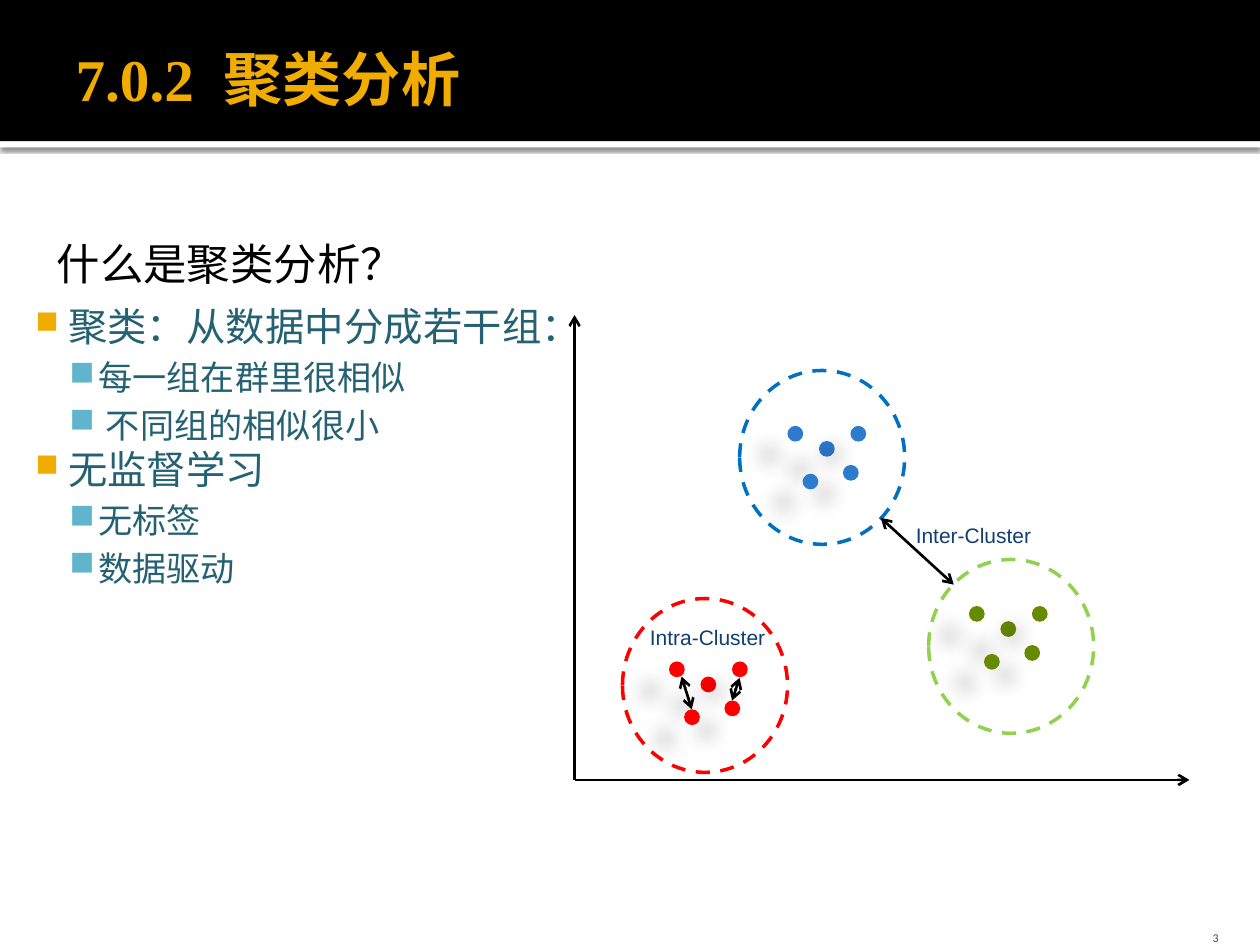
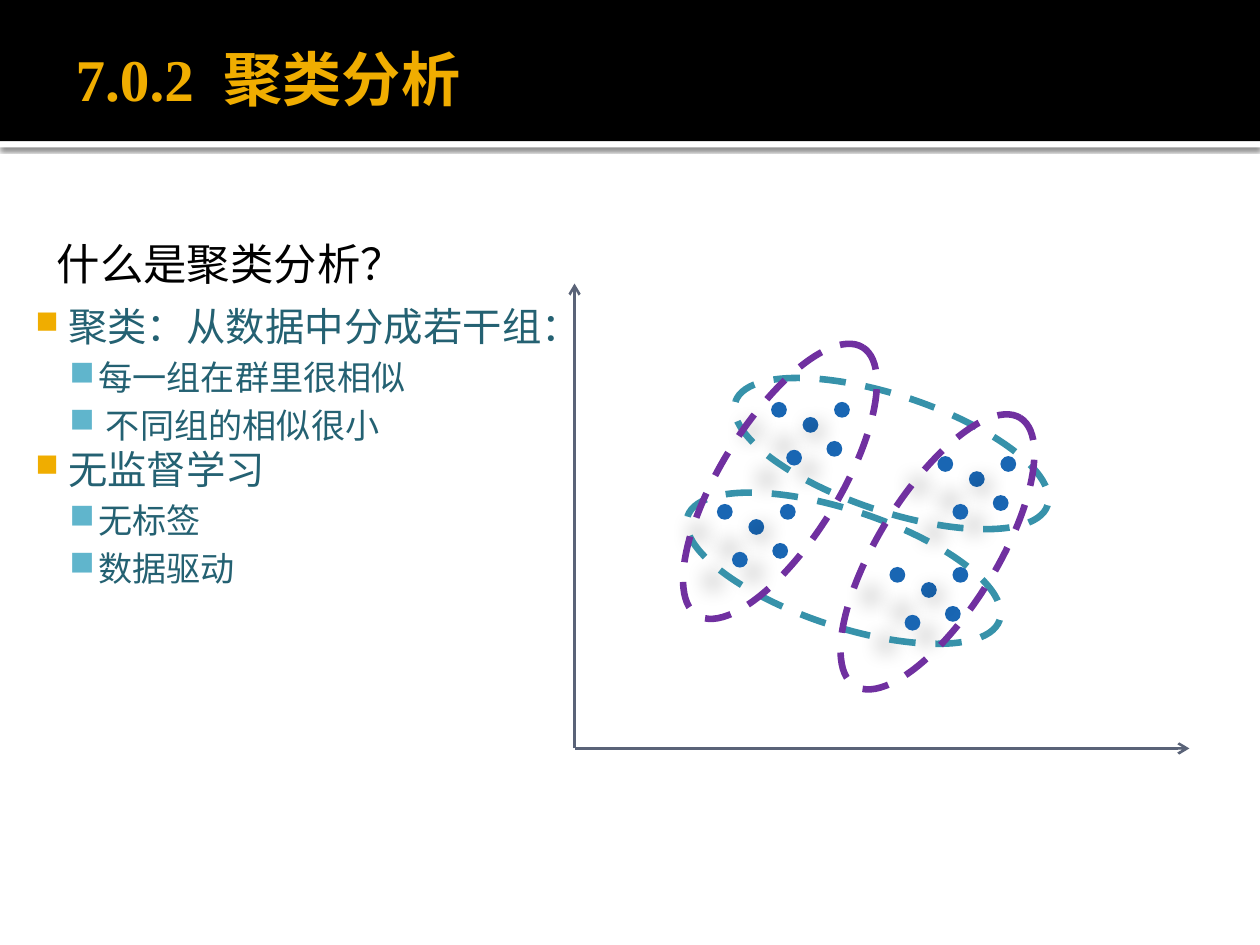
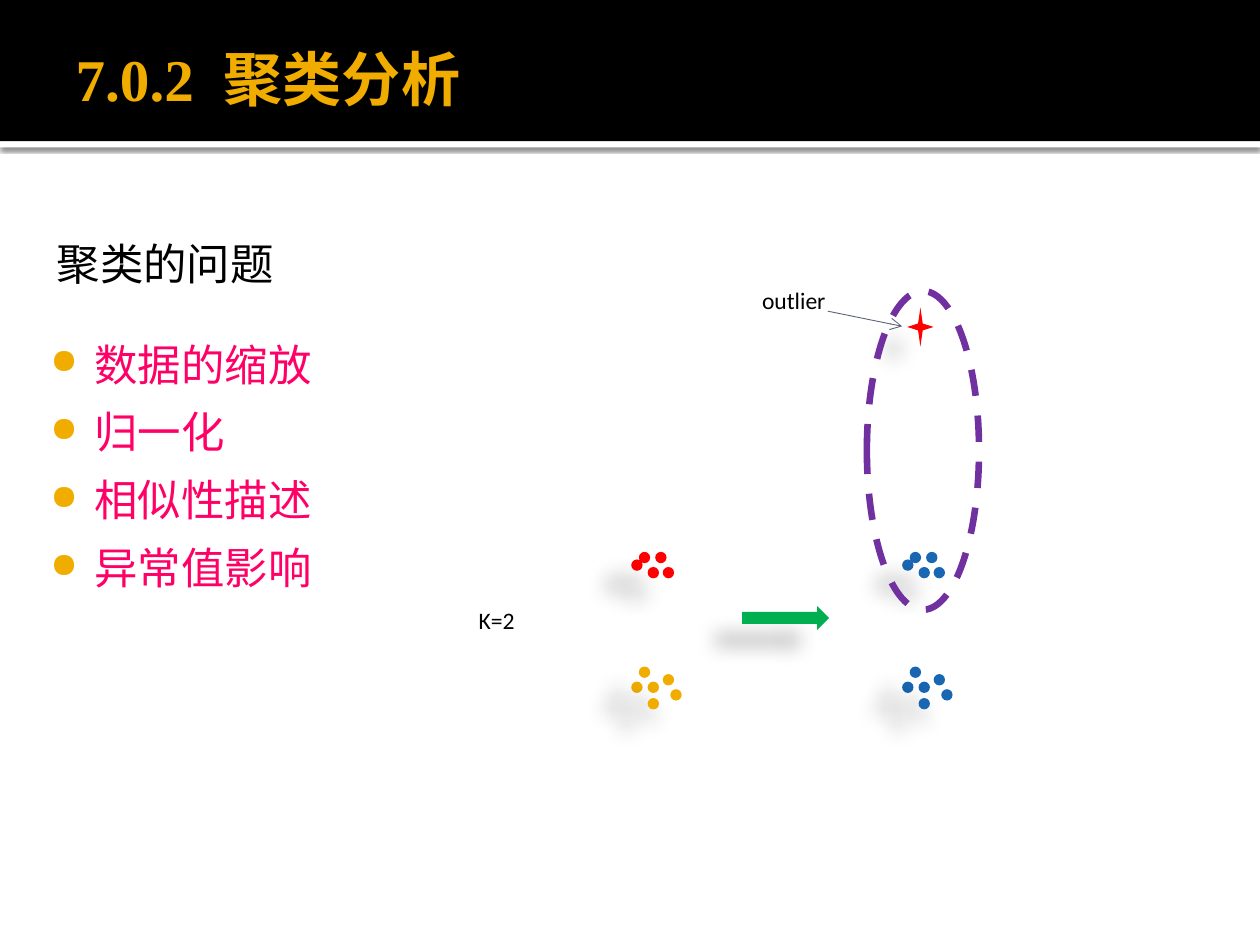
from lxml.etree import SubElement
from pptx import Presentation
from pptx.dml.color import RGBColor
from pptx.enum.dml import MSO_LINE
from pptx.enum.shapes import MSO_CONNECTOR, MSO_SHAPE
from pptx.enum.text import MSO_ANCHOR, MSO_AUTO_SIZE, PP_ALIGN
from pptx.oxml.ns import qn
from pptx.util import Inches, Pt

COLORS = {
    "black": "000000", "white": "FFFFFF", "gold": "F0AD00", "gray": "454545",
    "teal": "246172", "sky": "60B5CC", "slate": "5A6378", "navy": "113F71",
    "blue": "2D7ACF", "deep_blue": "1966B3", "red": "FF0000", "olive": "678B00",
    "ring_blue": "0070C0", "ring_green": "92D050", "ring_teal": "3792AA",
    "purple": "7030A0", "pink": "FF0066", "green": "00B050",
}
SERIF = "Times New Roman"
BAND_SHADOW = (60, 2.5, 0.8, 90)
SOFT_SHADOW = (28, 11.8, 19.7, 141)

CLUSTER = [(0.44, 0.31), (0, 0), (0.25, 0.12), (0.12, 0.38), (0.5, 0)]
LOWER_GROUP = [(0, 0.12), (0.13, 0.12), (0.06, 0), (0.31, 0.18), (0.25, 0.06), (0.13, 0.25)]
UPPER_GROUP = [(0.25, 0.12), (0, 0.06), (0.06, 0), (0.19, 0), (0.13, 0.12)]

DEFINITION = [
    (0, "聚类：从数据中分成若干组："),
    (1, "每一组在群里很相似"),
    (1, " 不同组的相似很小"),
    (0, "无监督学习"),
    (1, "无标签"),
    (1, "数据驱动"),
]
LEVELS = [
    dict(size=22.5, indent=(0.36, -0.26), bullet=("■", "gold", 80)),
    dict(size=19.5, indent=(0.6, -0.23), bullet=("■", "sky", 100), before=3.9),
]
PROBLEMS = ["数据的缩放", "归一化", "相似性描述", "异常值影响"]


def rgb(name):
    return RGBColor.from_string(COLORS[name])


def add_text(p, text, size=12, color="black", font=SERIF, bold=False, spacing=0,
             indent=None, bullet=None, before=None, after=None, align=None):
    r = p.add_run()
    r.text = text
    r.font.size, r.font.name, r.font.bold = Pt(size), font, bold
    r.font.color.rgb = rgb(color)
    if spacing:
        r.font._element.set("spc", str(round(spacing * 100)))
    if align is not None:
        p.alignment = align
    if before:
        p.space_before = Pt(before)
    if after:
        p.space_after = Pt(after)
    pPr = p._p.get_or_add_pPr()
    if indent:
        pPr.set("marL", str(Inches(indent[0])))
        pPr.set("indent", str(Inches(indent[1])))
    if bullet:
        char, bullet_color, percent = bullet
        clr = SubElement(pPr, qn("a:buClr"))
        SubElement(clr, qn("a:srgbClr"), val=COLORS[bullet_color])
        SubElement(pPr, qn("a:buSzPct"), val=str(percent * 1000))
        SubElement(pPr, qn("a:buChar"), char=char)


def set_frame(tf, insets, anchor=MSO_ANCHOR.TOP, wrap=True):
    tf.word_wrap = wrap
    tf.auto_size = MSO_AUTO_SIZE.NONE if wrap else MSO_AUTO_SIZE.SHAPE_TO_FIT_TEXT
    tf.vertical_anchor = anchor
    tf.margin_left, tf.margin_top, tf.margin_right, tf.margin_bottom = map(Inches, insets)


def add_box(slide, at, paragraphs, insets=(0.1, 0.05, 0.1, 0.05), **frame):
    tf = slide.shapes.add_textbox(*map(Inches, at)).text_frame
    set_frame(tf, insets, **frame)
    for i, (text, fmt) in enumerate(paragraphs):
        p = tf.add_paragraph() if i else tf.paragraphs[0]
        add_text(p, text, **fmt)


def add_label(slide, at, text, **fmt):
    add_box(slide, at, [(text, fmt)], wrap=False)


def add_filled(shapes, kind, at, color, shadow=SOFT_SHADOW):
    sp = shapes.add_shape(kind, *map(Inches, at))
    sp.fill.solid()
    sp.fill.fore_color.rgb = rgb(color)
    sp.line.fill.background()
    sp.shadow.inherit = False
    if shadow:
        alpha, blur, distance, angle = shadow
        effects = sp._element.spPr.find(qn("a:effectLst"))
        outer = SubElement(effects, qn("a:outerShdw"), blurRad=str(Pt(blur)),
                           dist=str(Pt(distance)), dir=str(angle * 60000),
                           algn="ctr", rotWithShape="0")
        clr = SubElement(outer, qn("a:srgbClr"), val=COLORS["black"])
        SubElement(clr, qn("a:alpha"), val=str(alpha * 1000))
    return sp


def add_dots(shapes, origin, offsets, color, size=0.125):
    for dx, dy in offsets:
        at = (origin[0] + dx, origin[1] + dy, size, size)
        add_filled(shapes, MSO_SHAPE.OVAL, at, color)


def add_ring(slide, at, color, width=3.78, rotation=0):
    sp = slide.shapes.add_shape(MSO_SHAPE.OVAL, *map(Inches, at))
    sp.fill.background()
    sp.line.color.rgb = rgb(color)
    sp.line.width = Pt(width)
    sp.line.dash_style = MSO_LINE.DASH
    sp.shadow.inherit = False
    sp.rotation = rotation


def add_arrow(slide, start, end, color="black", width=1.5, double=False):
    line = slide.shapes.add_connector(MSO_CONNECTOR.STRAIGHT, *map(Inches, start + end))
    line.line.color.rgb = rgb(color)
    line.line.width = Pt(width)
    ln = line.line._get_or_add_ln()
    for tag in ("a:headEnd", "a:tailEnd") if double else ("a:tailEnd",):
        SubElement(ln, qn(tag), type="arrow")
    SubElement(line._element.spPr, qn("a:effectLst"))


def add_axes(slide, bottom, color):
    add_arrow(slide, (4.56, bottom), (9.44, bottom), color)
    add_arrow(slide, (4.56, bottom), (4.56, bottom - 3.69), color)


def add_bands(slide, layout):
    stripe = add_filled(slide.shapes, MSO_SHAPE.RECTANGLE, (0, 1.12, 10, 0.05), "white", BAND_SHADOW)
    band = add_filled(slide.shapes, MSO_SHAPE.RECTANGLE, (0, 0, 10, 1.12), "black", None)
    for position, sp in enumerate((stripe, band), start=2):
        layout.shapes._spTree.insert(position, sp._element)


def add_slide(prs, layout, heading):
    slide = prs.slides.add_slide(layout)
    title = slide.shapes.title
    title.left, title.top, title.width, title.height = map(Inches, (0.5, 0.08, 9, 1.08))
    tf = title.text_frame
    set_frame(tf, (0.1, 0.05, 0.05, 0.05), MSO_ANCHOR.MIDDLE)
    for text, spacing in (("7.0.2", 0), (" ", 8.5), ("聚类分析", 0)):
        add_text(tf.paragraphs[0], text, size=33.8, color="gold", bold=True,
                 spacing=spacing, align=PP_ALIGN.LEFT)
    add_box(slide, (0.31, 1.81, 9.19, 0.69),
            [(heading, dict(size=24.8, indent=(0.1, 0), after=9))], (0.04, 0.07, 0.1, 0.05))
    return slide


def add_definition(slide):
    paragraphs = [(text, dict(LEVELS[level], color="teal")) for level, text in DEFINITION]
    add_box(slide, (0.12, 2.3, 9.75, 4.16), paragraphs, (0.06, 0.1, 0.1, 0.05))


def build_distances(slide):
    add_definition(slide)
    add_box(slide, (8.97, 7.2, 0.8, 0.3),
            [("3", dict(size=6.8, color="gray", font="Calibri", align=PP_ALIGN.RIGHT))],
            (0.1, 0.05, 0.1, 0), anchor=MSO_ANCHOR.BOTTOM)
    add_axes(slide, 6.19, "black")
    for origin, dot_color, ring_at, ring_color in (
        ((6.25, 3.38), "blue", (5.87, 2.94), "ring_blue"),
        ((5.31, 5.25), "red", (4.94, 4.75), "red"),
        ((7.69, 4.81), "olive", (7.37, 4.44), "ring_green"),
    ):
        add_dots(slide.shapes, origin, CLUSTER, dot_color)
        add_ring(slide, ring_at + (1.31, 1.38), ring_color, width=2)
    for start, end in (((5.41, 5.37), (5.49, 5.63)), ((5.87, 5.38), (5.81, 5.56)),
                       ((6.99, 4.11), (7.57, 4.64))):
        add_arrow(slide, start, end, double=True)
    for left, top, text in ((7.17, 4.1, "Inter-Cluster"), (5.06, 4.91, "Intra-Cluster")):
        add_label(slide, (left, top, 1.13, 0.3), text, color="navy", font="Arial")


def build_groupings(slide):
    add_definition(slide)
    add_axes(slide, 5.94, "slate")
    for origin in ((7.06, 4.5), (5.69, 4), (7.44, 3.62), (6.12, 3.19)):
        add_dots(slide.shapes, origin, CLUSTER, "deep_blue")
    for left, top in ((5.39, 4.05), (5.77, 3.14)):
        add_ring(slide, (left, top, 2.61, 0.92), "ring_teal", rotation=18.4)
    for left, top in ((4.94, 3.35), (6.19, 3.91)):
        add_ring(slide, (left, top, 2.5, 0.94), "purple", rotation=121.7)


def build_problems(slide):
    fmt = dict(size=24.8, color="pink", indent=(0.48, -0.35), after=9, bullet=("●", "gold", 80))
    add_box(slide, (0.23, 2.61, 3.29, 3.14), [(text, fmt) for text in PROBLEMS],
            (0.04, 0.07, 0.1, 0.05))
    group = slide.shapes.add_group_shape()
    for shapes, left, lower, upper in ((slide.shapes, 5.01, "gold", "red"),
                                       (group.shapes, 7.16, "deep_blue", "deep_blue")):
        add_dots(shapes, (left, 5.29), LOWER_GROUP, lower, 0.09)
        add_dots(shapes, (left, 4.38), UPPER_GROUP, upper, 0.09)
    add_filled(slide.shapes, MSO_SHAPE.STAR_4_POINT, (7.2, 2.44, 0.21, 0.31), "red")
    add_filled(slide.shapes, MSO_SHAPE.RIGHT_ARROW, (5.89, 4.81, 0.69, 0.19), "green")
    add_label(slide, (5.95, 2.22, 0.71, 0.33), "outlier", size=13.5, font="Calibri")
    add_arrow(slide, (6.57, 2.47), (7.16, 2.59), "slate", 0.5)
    add_ring(slide, (6.88, 2.31, 0.89, 2.53), "purple")
    add_label(slide, (3.7, 4.76, 0.51, 0.33), "K=2", size=13.5, font="Calibri")


def main():
    prs = Presentation()
    prs.slide_width, prs.slide_height = Inches(10), Inches(7.5)
    layout = prs.slide_layouts[5]
    for heading, build in (("什么是聚类分析？", build_distances),
                           ("什么是聚类分析？", build_groupings),
                           ("聚类的问题", build_problems)):
        build(add_slide(prs, layout, heading))
    add_bands(prs.slides[0], layout)
    prs.save("out.pptx")


if __name__ == "__main__":
    main()
